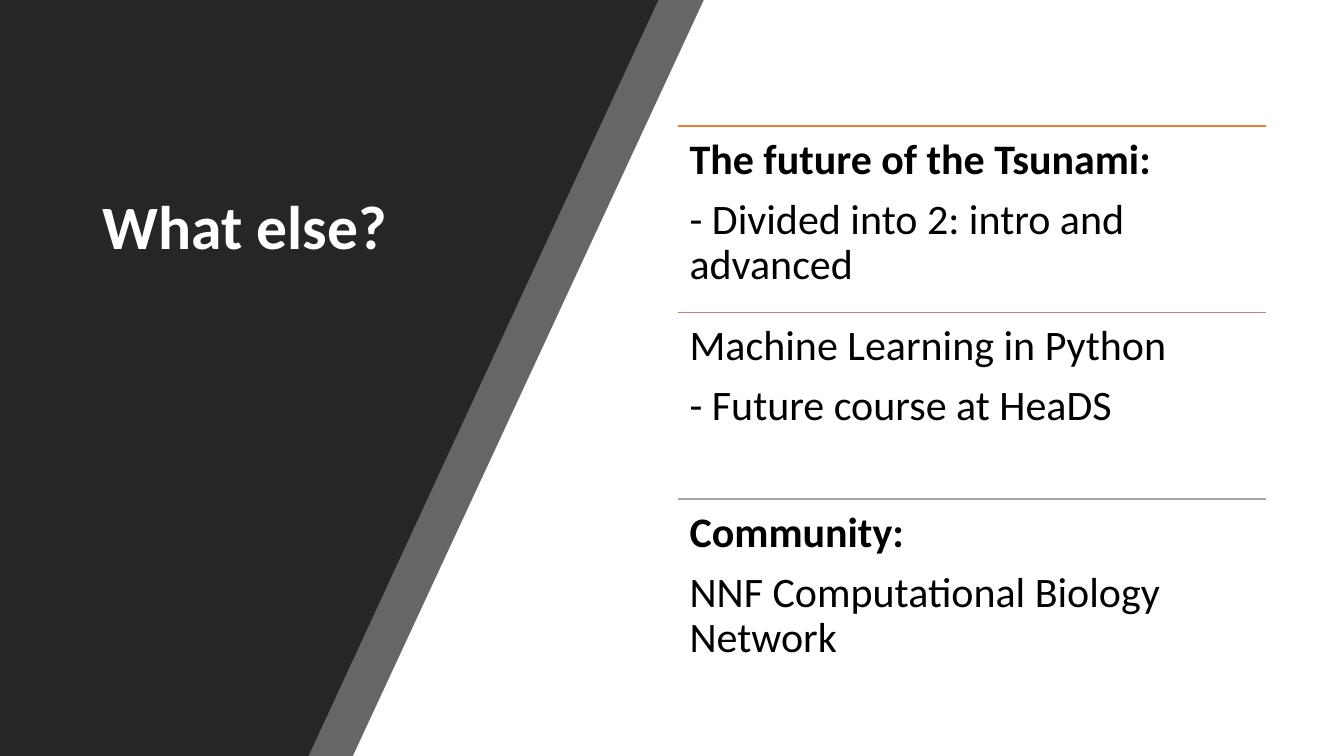
from lxml import etree
from pptx import Presentation, util as u
from pptx.dml.color import RGBColor
from pptx.enum import shapes, text
from pptx.oxml.ns import qn

PX = 9144  # 100 px to the inch
WIDTH, HEIGHT = 1333, 750
FONT = "Calibri"
CHARCOAL = RGBColor(0x26, 0x26, 0x26)
WHITE = RGBColor(0xFF, 0xFF, 0xFF)
BLACK = RGBColor(0x00, 0x00, 0x00)
ORANGE = RGBColor(0xED, 0x7D, 0x31)
ROSE = RGBColor(0xC4, 0x81, 0x70)
GRAY = RGBColor(0xA5, 0xA5, 0xA5)

TOPICS_LEFT, TOPICS_TOP = 672, 125
TOPIC_WIDTH, TOPIC_HEIGHT = 584, 185
TOPICS = [
    (ORANGE, "The future of the Tsunami:", True, "- Divided into 2: intro and advanced"),
    (ROSE, "Machine Learning in Python", False, "- Future course at HeaDS"),
    (GRAY, "Community:", True, "NNF Computational Biology Network"),
]


def add_slanted_panel(slide, top_width, bottom_width, opacity=100):
    """Draw a full-height panel with a slanted right edge; opacity is in percent."""
    builder = slide.shapes.build_freeform(0, 0, scale=PX)
    builder.add_line_segments(
        [(top_width, 0), (bottom_width, HEIGHT), (0, HEIGHT)], close=True)
    panel = builder.convert_to_shape()
    panel.shadow.inherit = False
    panel.fill.solid()
    panel.fill.fore_color.rgb = CHARCOAL
    panel.line.fill.background()
    if opacity < 100:
        color = panel._element.spPr.find(".//" + qn("a:srgbClr"))
        etree.SubElement(color, qn("a:alpha"), val=str(opacity * 1000))


def add_rule(slide, left, top, width, color):
    rule = slide.shapes.add_connector(
        shapes.MSO_CONNECTOR.STRAIGHT,
        left * PX, top * PX, (left + width) * PX, top * PX)
    rule.line.color.rgb = color
    rule.line.width = u.Pt(1)
    etree.SubElement(rule._element.spPr, qn("a:effectLst"))


def add_text(slide, left, top, width, height, lines, *, size, color,
             inset=(10, 5), anchor=text.MSO_ANCHOR.TOP, space_after=0):
    """Add a text box; lines holds one (wording, bold) pair per paragraph."""
    box = slide.shapes.add_textbox(left * PX, top * PX, width * PX, height * PX)
    frame = box.text_frame
    frame.word_wrap = True
    frame.vertical_anchor = anchor
    frame.margin_left = frame.margin_right = inset[0] * PX
    frame.margin_top = frame.margin_bottom = inset[1] * PX
    for index, (wording, bold) in enumerate(lines):
        paragraph = frame.add_paragraph() if index else frame.paragraphs[0]
        paragraph.line_spacing = 0.9
        paragraph.space_after = u.Pt(space_after)
        run = paragraph.add_run()
        run.text = wording
        run.font.name = FONT
        run.font.size = u.Pt(size)
        run.font.bold = bold
        run.font.color.rgb = color


def add_topic(slide, top, rule_color, heading, heading_bold, detail):
    add_rule(slide, TOPICS_LEFT, top, TOPIC_WIDTH, rule_color)
    add_text(slide, TOPICS_LEFT, top, TOPIC_WIDTH, TOPIC_HEIGHT,
             [(heading, heading_bold), (detail, False)],
             size=30, color=BLACK, inset=(12, 12), space_after=10.5)


def main():
    presentation = Presentation()
    presentation.slide_width = WIDTH * PX
    presentation.slide_height = HEIGHT * PX
    slide = presentation.slides.add_slide(presentation.slide_layouts[6])

    add_slanted_panel(slide, 698, 350, opacity=70)
    add_slanted_panel(slide, 653, 306)
    add_text(slide, 92, 48, 358, 360, [("What else?", True)],
             size=44, color=WHITE, anchor=text.MSO_ANCHOR.MIDDLE)
    for row, topic in enumerate(TOPICS):
        add_topic(slide, TOPICS_TOP + row * TOPIC_HEIGHT, *topic)

    presentation.save("out.pptx")


if __name__ == "__main__":
    main()
